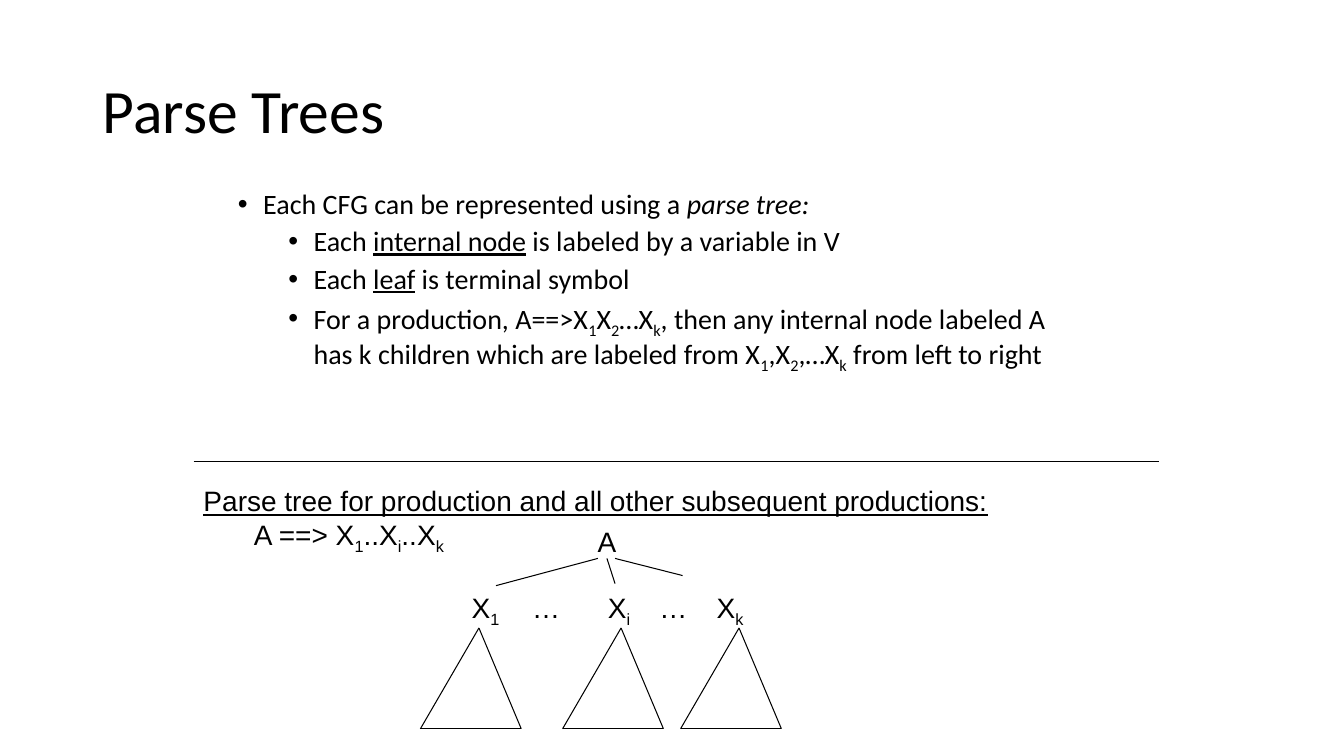
"""Build a slide on parse trees of context-free grammars."""
from lxml import etree
from pptx import Presentation
from pptx.dml.color import RGBColor
from pptx.enum.shapes import MSO_CONNECTOR
from pptx.enum.text import MSO_ANCHOR, MSO_AUTO_SIZE, PP_ALIGN
from pptx.oxml.ns import qn
from pptx.util import Inches, Pt

BLACK = "000000"
BULLETS = [
    (0, "Each CFG can be represented using a |*parse tree:"),
    (1, "Each |_internal node| is labeled by a variable in V"),
    (1, "Each |_leaf| is terminal symbol"),
    (1, "For a production, A==>X|~1|X|~2|…X|~k|, then any internal node labeled A "
        "has k children which are labeled from X|~1|,X|~2|,…X|~k| from left to right "),
]
CAPTION = ["_Parse tree for production and all other subsequent productions:",
           "\tA ==> X|~1|..X|~i|..X|~k"]


def set_color(color, value):
    """Set a colour format from a hex string."""
    color.rgb = RGBColor.from_string(value)


def write(p, text, size, font):
    """Write runs split by |, prefixed * italic, _ underlined or ~ subscript."""
    p.font.size, p.font.name = Pt(size), font
    set_color(p.font.color, BLACK)
    for part in text.split("|"):
        r = p.add_run()
        r.text = part.lstrip("*_~")
        if part[0] == "*":
            r.font.italic = True
        elif part[0] == "_":
            r.font.underline = True
        elif part[0] == "~":
            r.font._element.set("baseline", "-25000")


def place(sp, x, y, w, h):
    """Put a shape in a box given in inches."""
    sp.left, sp.top, sp.width, sp.height = map(Inches, (x, y, w, h))


def add_line(slide, x1, y1, x2, y2):
    """Draw a thin black line without shadow."""
    line = slide.shapes.add_connector(MSO_CONNECTOR.STRAIGHT, *map(Inches, (x1, y1, x2, y2)))
    line.line.width = Pt(0.75)
    set_color(line.line.color, BLACK)
    etree.SubElement(line._element.spPr, qn("a:effectLst"))


def add_label(slide, x, y, w, h, *lines):
    """Add an unwrapped text box with one paragraph per line."""
    tf = slide.shapes.add_textbox(*map(Inches, (x, y, w, h))).text_frame
    tf.word_wrap = False
    tf.auto_size = MSO_AUTO_SIZE.SHAPE_TO_FIT_TEXT
    for i, text in enumerate(lines):
        write(tf.add_paragraph() if i else tf.paragraphs[0], text, 20, "Arial")


def add_title(slide, x, y, w, h):
    """Fill the title placeholder."""
    sp = slide.shapes.title
    place(sp, x, y, w, h)
    tf = sp.text_frame
    tf.auto_size, tf.vertical_anchor = MSO_AUTO_SIZE.NONE, MSO_ANCHOR.MIDDLE
    p = tf.paragraphs[0]
    p.alignment, p.line_spacing = PP_ALIGN.LEFT, 0.9
    write(p, "Parse Trees", 44, "Calibri")


def add_bullets(slide, x, y, w, h):
    """Fill the body placeholder with the bulleted list."""
    sp = slide.placeholders[1]
    place(sp, x, y, w, h)
    tf = sp.text_frame
    tf.auto_size = MSO_AUTO_SIZE.NONE
    for i, (level, text) in enumerate(BULLETS):
        p = tf.add_paragraph() if i else tf.paragraphs[0]
        p.level, p.line_spacing = level, 0.9
        p.space_before = Pt(5 if level else 10)
        write(p, text, 20, "Calibri")
        pPr = p._p.get_or_add_pPr()
        pPr.set("marL", str(Inches(0.25 + 0.5 * level)))
        pPr.set("indent", str(Inches(-0.25)))
        bullet_font = etree.Element(qn("a:buFont"), typeface="Arial")
        bullet = etree.Element(qn("a:buChar"), char="•")
        defaults = pPr.find(qn("a:defRPr"))
        defaults.addprevious(bullet_font)
        defaults.addprevious(bullet)


def add_subtree(slide, x, y, w, h):
    """Draw a triangle of three lines standing for a subtree."""
    apex, left, right = (x + 0.58 * w, y), (x, y + h), (x + w, y + h)
    for start, end in ((apex, left), (left, right), (apex, right)):
        add_line(slide, *start, *end)


def add_tree(slide, x, y):
    """Draw root A, its children and their subtrees from a top-left corner."""
    add_label(slide, x + 1.66, y, 0.39, 0.43, "A")
    for x1, x2, y2 in ((1.76, 0.75, 0.66), (1.85, 1.93, 0.64), (1.93, 2.6, 0.56)):
        add_line(slide, x + x1, y + 0.39, x + x2, y + y2)
    for dx, w, text in ((0.41, 0.49, "X|~1"), (1.01, 0.48, "…"), (1.76, 0.43, "X|~i"),
                        (2.27, 0.48, "…"), (2.84, 0.48, "X|~k")):
        add_label(slide, x + dx, y + 0.66, w, 0.44, text)
    for dx in (0, 1.41, 2.58):
        add_subtree(slide, x + dx, y + 1.08, 1, 1)


prs = Presentation()
prs.slide_width, prs.slide_height = Inches(13.33), Inches(7.5)
slide = prs.slides.add_slide(prs.slide_layouts[1])
add_title(slide, 0.92, 0.4, 11.5, 1.45)
add_bullets(slide, 2.26, 1.84, 8.5, 2.63)
add_line(slide, 1.92, 4.58, 11.5, 4.58)
add_label(slide, 1.92, 4.75, 8.03, 0.77, *CAPTION)
add_tree(slide, 4.17, 5.15)
prs.save("out.pptx")
